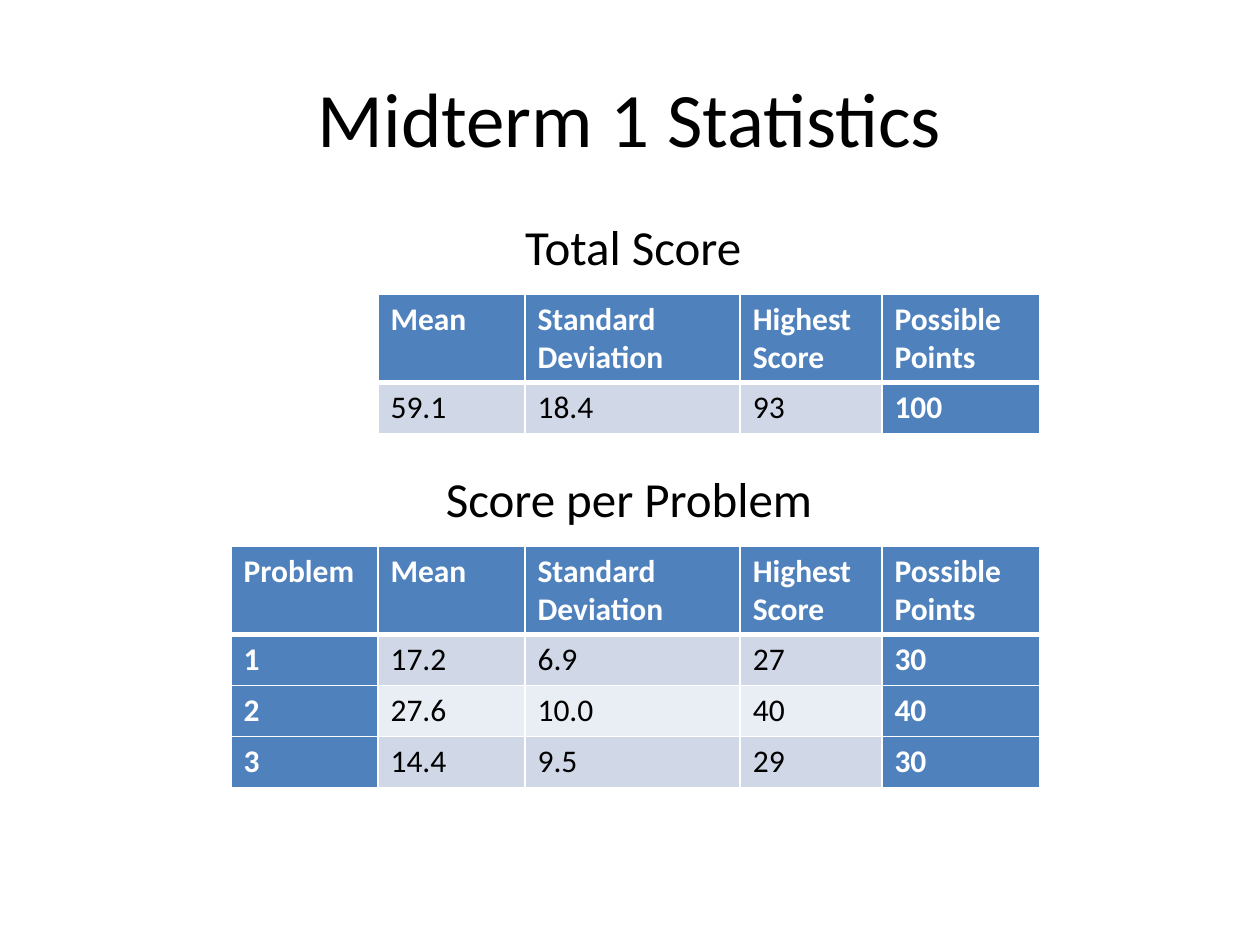
from lxml import etree
from pptx import Presentation
from pptx import util as u
from pptx.dml.color import RGBColor
from pptx.enum import text
from pptx.oxml import ns

BLACK = RGBColor(0x00, 0x00, 0x00)
WHITE = RGBColor(0xFF, 0xFF, 0xFF)
BLUE = RGBColor(0x4F, 0x81, 0xBD)
BANDS = (RGBColor(0xD0, 0xD8, 0xE8), RGBColor(0xE9, 0xED, 0xF4))

HEADERS = ["Problem", "Mean", "Standard Deviation", "Highest Score", "Possible Points"]
WIDTHS = [84, 84, 123, 81, 90]
TOTAL = ["59.1", "18.4", "93", "100"]
PROBLEMS = [
    ["1", "17.2", "6.9", "27", "30"],
    ["2", "27.6", "10.0", "40", "40"],
    ["3", "14.4", "9.5", "29", "30"],
]


class StatisticsSlide:
    """Draws headings and score tables on one slide in a shared style."""

    font_name = "Calibri"
    cell_size = 18
    header_height = 50.4
    row_height = 29.2
    right_edge = 594

    def __init__(self, slide):
        self.slide = slide

    def style(self, paragraph, size, color=BLACK, bold=False):
        font = paragraph.font
        font.name = self.font_name
        font.size = u.Pt(size)
        font.bold = bold
        font.color.rgb = color

    def heading(self, wording, left, top, width, height, size, centred=False):
        box = self.slide.shapes.add_textbox(u.Pt(left), u.Pt(top), u.Pt(width), u.Pt(height))
        frame = box.text_frame
        frame.word_wrap = centred
        frame.text = wording
        paragraph = frame.paragraphs[0]
        if centred:
            frame.vertical_anchor = text.MSO_ANCHOR.MIDDLE
            paragraph.alignment = text.PP_ALIGN.CENTER
        else:
            frame.auto_size = text.MSO_AUTO_SIZE.SHAPE_TO_FIT_TEXT
        self.style(paragraph, size)

    def borders(self, cell, row):
        properties = cell._tc.get_or_add_tcPr()
        weights = {"L": 1, "R": 1, "T": 3 if row == 1 else 1, "B": 3 if row == 0 else 1}
        for side, weight in weights.items():
            line = etree.SubElement(properties, ns.qn(f"a:ln{side}"), w=str(u.Pt(weight)))
            fill = etree.SubElement(line, ns.qn("a:solidFill"))
            etree.SubElement(fill, ns.qn("a:srgbClr"), val=str(WHITE))

    def cell(self, cell, wording, row, emphasised):
        self.borders(cell, row)
        cell.fill.solid()
        cell.fill.fore_color.rgb = BLUE if emphasised else BANDS[(row - 1) % 2]
        cell.text = wording
        self.style(cell.text_frame.paragraphs[0], self.cell_size,
                   WHITE if emphasised else BLACK, emphasised)

    def score_table(self, top, headers, scores, widths):
        rows = [headers, *scores]
        heights = [self.header_height] + [self.row_height] * len(scores)
        table = self.slide.shapes.add_table(
            len(rows), len(headers), u.Pt(self.right_edge - sum(widths)), u.Pt(top),
            u.Pt(sum(widths)), u.Pt(sum(heights))).table
        table.horz_banding = False
        for column, width in zip(table.columns, widths):
            column.width = u.Pt(width)
        for row, (values, height) in enumerate(zip(rows, heights)):
            table.rows[row].height = u.Pt(height)
            for column, value in enumerate(values):
                emphasised = row == 0 or headers[column] in ("Problem", "Possible Points")
                self.cell(table.cell(row, column), value, row, emphasised)


def main():
    deck = Presentation()
    deck.slide_width, deck.slide_height = u.Pt(720), u.Pt(540)
    statistics = StatisticsSlide(deck.slides.add_slide(deck.slide_layouts[6]))
    statistics.heading("Midterm 1 Statistics", 36, 21.6, 648, 90, 44, centred=True)
    statistics.score_table(312, HEADERS, PROBLEMS, WIDTHS)
    statistics.score_table(168, HEADERS[1:], [TOTAL], WIDTHS[1:])
    statistics.heading("Total Score", 293, 120, 139, 41, 28)
    statistics.heading("Score per Problem", 247.7, 264, 226, 41, 28)
    deck.save("out.pptx")


if __name__ == "__main__":
    main()
